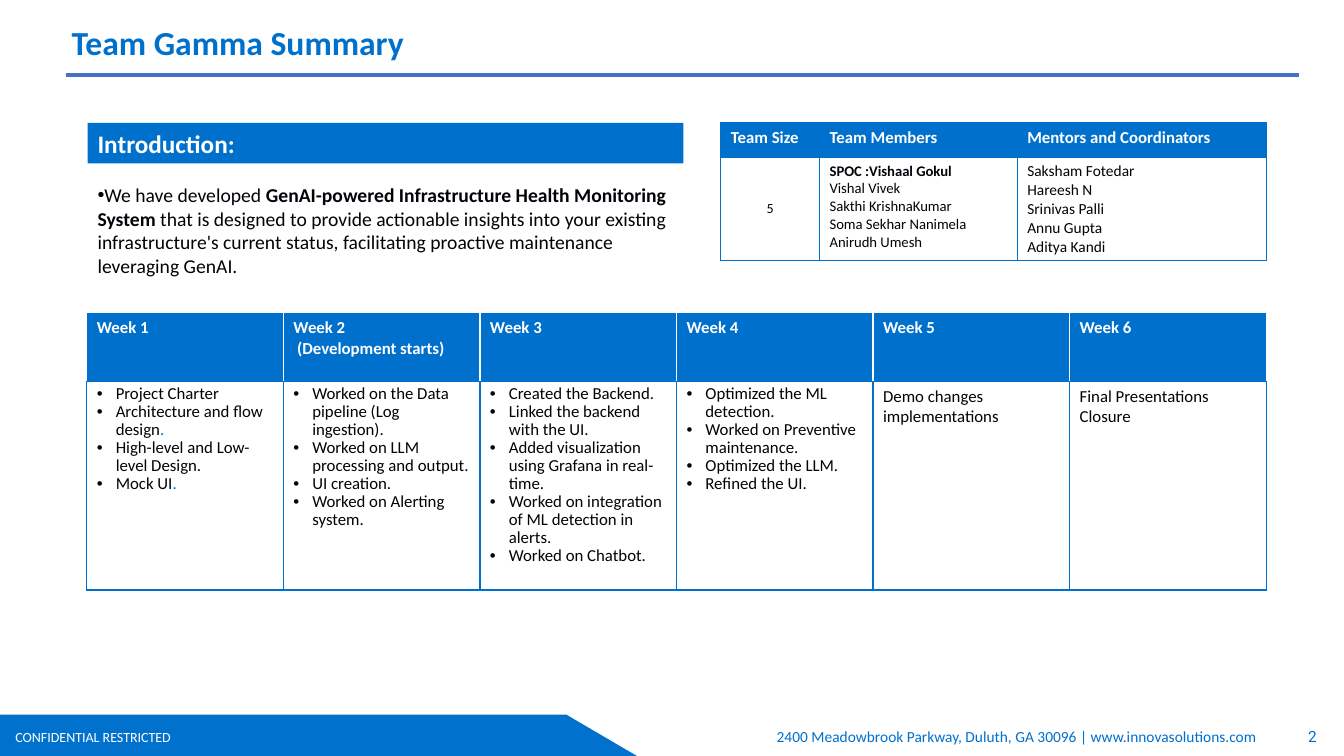
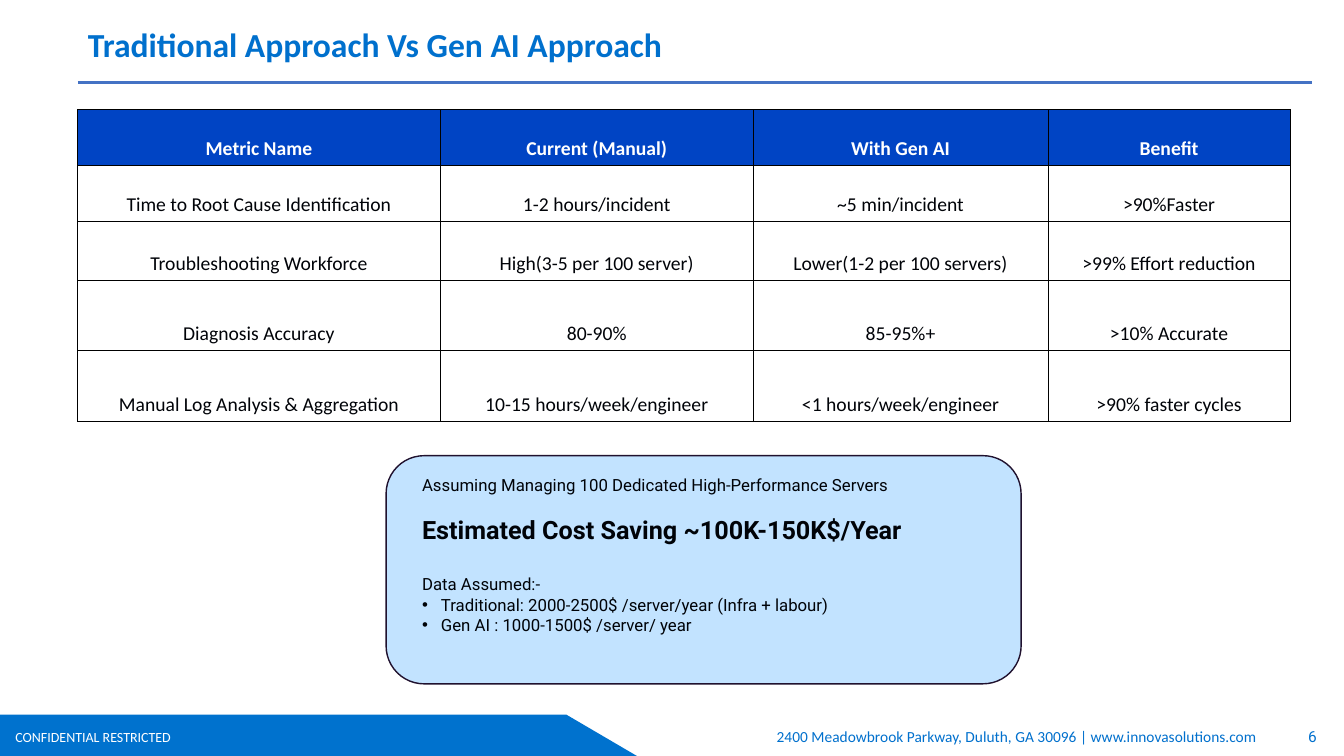
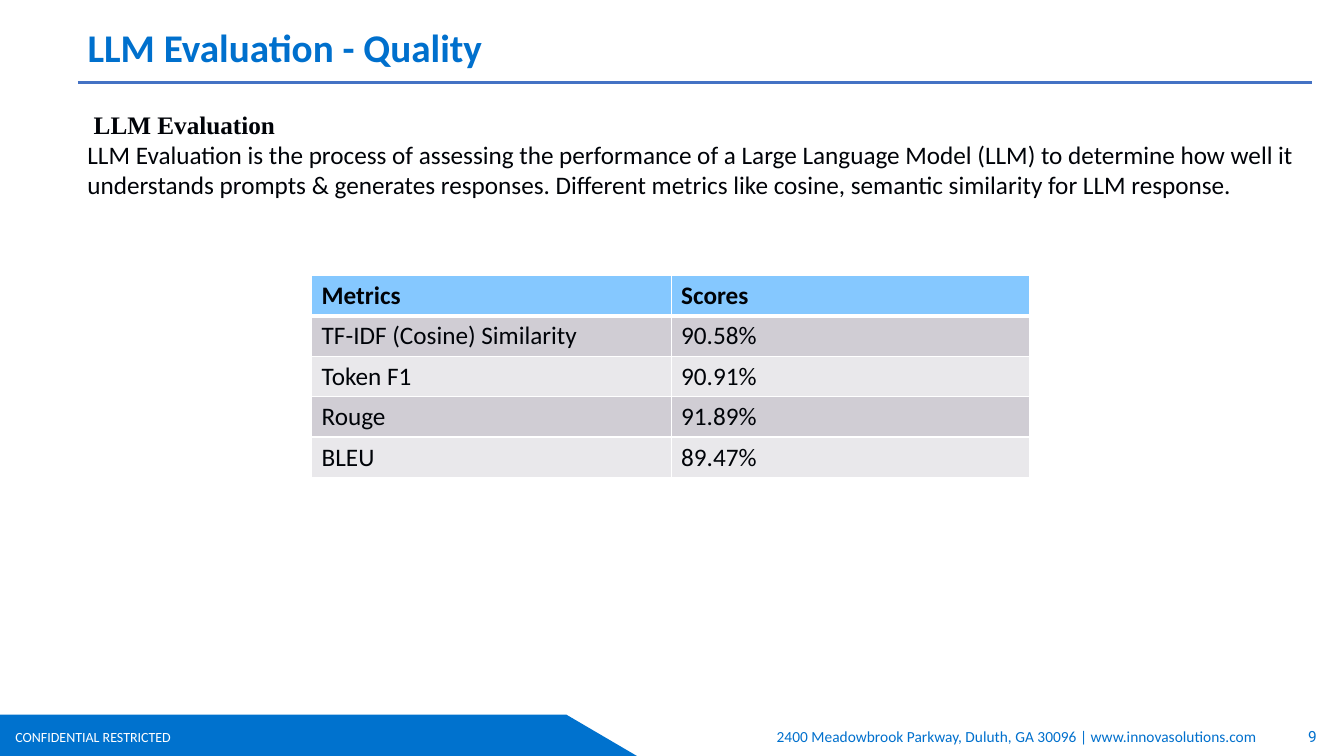
"""Build three slides on a GenAI infrastructure monitoring project."""
from dataclasses import dataclass, replace
from typing import Any, NamedTuple, Optional

from pptx import Presentation
from pptx.dml.color import RGBColor
from pptx.enum.shapes import MSO_CONNECTOR, MSO_SHAPE
from pptx.enum.text import MSO_ANCHOR, MSO_AUTO_SIZE, PP_ALIGN
from pptx.oxml.xmlchemy import OxmlElement
from pptx.util import Pt

BLUE = RGBColor(0x00, 0x70, 0xCD)
BAND_BLUE = RGBColor(0x00, 0x72, 0xCE)
RULE_BLUE = RGBColor(0x44, 0x72, 0xC4)
ROYAL_BLUE = RGBColor(0x00, 0x44, 0xC4)
SKY_BLUE = RGBColor(0x85, 0xC8, 0xFF)
PALE_BLUE = RGBColor(0xC2, 0xE3, 0xFF)
PLUM = RGBColor(0x20, 0x11, 0x2E)
GREY = RGBColor(0xD0, 0xCD, 0xD4)
LIGHT_GREY = RGBColor(0xE9, 0xE8, 0xEB)
INK = RGBColor(0x00, 0x03, 0x08)
BLACK = RGBColor(0x00, 0x00, 0x00)
WHITE = RGBColor(0xFF, 0xFF, 0xFF)

SLIDE_WIDTH, SLIDE_HEIGHT = 960, 540
ADDRESS = "2400 Meadowbrook Parkway, Duluth, GA 30096 | www.innovasolutions.com"


class Box(NamedTuple):
    """Left, top, width and height in points."""
    left: float
    top: float
    width: float
    height: float


class Border(NamedTuple):
    """Colour and width of one cell edge."""
    color: RGBColor
    width: float = 1


@dataclass(frozen=True)
class Style:
    """Character format."""
    size: float
    color: RGBColor = INK
    bold: bool = False
    face: str = "Calibri"


@dataclass(frozen=True)
class Run:
    """Words in one style."""
    words: str
    style: Style


@dataclass(frozen=True)
class Para:
    """Runs with their paragraph format."""
    runs: tuple[Run, ...]
    align: PP_ALIGN = PP_ALIGN.LEFT
    leading: Optional[float] = None
    before: float = 0
    margin: float = 0
    hanging: float = 0
    bullet: bool = False


@dataclass(frozen=True)
class Cell:
    """Content and look of a table cell."""
    paras: list[Para]
    borders: dict[str, Border]
    fill: Optional[RGBColor] = None
    anchor: MSO_ANCHOR = MSO_ANCHOR.TOP
    insets: tuple[float, float, float, float] = (7.2, 3.6, 7.2, 3.6)


def apply(target: Any, formats: dict[str, Any]) -> None:
    """Set each format value on the target."""
    for name, value in formats.items():
        setattr(target, name, value)


def edges(border: Border, **special: Border) -> dict[str, Border]:
    """Give all four edges one border, except the special ones."""
    return {side: special.get(side, border) for side in "LRTB"}


def para(words: str, style: Style, **formats: Any) -> Para:
    """Make a paragraph of one run."""
    return Para((Run(words, style),), **formats)


def lines(style: Style, *texts: str) -> list[Para]:
    """Make one plain paragraph per text."""
    return [para(text, style) for text in texts]


def bullets(style: Style, *texts: str, leading: Optional[float] = None) -> list[Para]:
    """Make one hanging bullet per text."""
    return [para(text, style, bullet=True, margin=13.5, hanging=13.5, leading=leading)
            for text in texts]


def write(frame: Any, paras: list[Para]) -> None:
    """Fill a text frame with formatted paragraphs."""
    for index, source in enumerate(paras):
        paragraph = frame.paragraphs[0] if index == 0 else frame.add_paragraph()
        apply(paragraph, {"alignment": source.align, "space_before": Pt(source.before)})
        if source.leading:
            paragraph.line_spacing = Pt(source.leading)
        properties = paragraph._p.get_or_add_pPr()
        properties.set("marL", str(Pt(source.margin)))
        properties.set("indent", str(-Pt(source.hanging)))
        if source.bullet:
            for tag, key, value in (("a:buFont", "typeface", "Arial"), ("a:buChar", "char", "•")):
                mark = OxmlElement(tag)
                mark.set(key, value)
                properties.append(mark)
        for piece in source.runs:
            run = paragraph.add_run()
            run.text = piece.words
            apply(run.font, {"size": Pt(piece.style.size), "bold": piece.style.bold,
                             "name": piece.style.face})
            run.font.color.rgb = piece.style.color


def add_text(slide: Any, box: Box, paras: list[Para],
             anchor: MSO_ANCHOR = MSO_ANCHOR.TOP) -> None:
    """Add a wrapping text box."""
    frame = slide.shapes.add_textbox(*map(Pt, box)).text_frame
    apply(frame, {"word_wrap": True, "vertical_anchor": anchor})
    write(frame, paras)


def add_panel(slide: Any, preset: MSO_SHAPE, box: Box, fill: RGBColor,
              outline: Optional[RGBColor] = None) -> Any:
    """Add a flat filled shape."""
    panel = slide.shapes.add_shape(preset, *map(Pt, box))
    panel.shadow.inherit = False
    panel.fill.solid()
    panel.fill.fore_color.rgb = fill
    if outline is None:
        panel.line.fill.background()
    else:
        panel.line.color.rgb = outline
        panel.line.width = Pt(1)
    return panel


def set_borders(cell: Any, borders: dict[str, Border]) -> None:
    """Draw the edges of a cell."""
    properties = cell._tc.get_or_add_tcPr()
    for index, (side, border) in enumerate(borders.items()):
        edge = OxmlElement(f"a:ln{side}")
        edge.set("w", str(Pt(border.width)))
        paint = OxmlElement("a:solidFill")
        color = OxmlElement("a:srgbClr")
        color.set("val", str(border.color))
        paint.append(color)
        edge.append(paint)
        properties.insert(index, edge)


def add_grid(slide: Any, left: float, top: float, widths: list[float],
             heights: list[float], rows: list[list[Cell]]) -> None:
    """Add a table of formatted cells."""
    box = Box(left, top, sum(widths), sum(heights))
    table = slide.shapes.add_table(len(heights), len(widths), *map(Pt, box)).table
    apply(table, {"first_row": False, "horz_banding": False})
    for column, width in zip(table.columns, widths):
        column.width = Pt(width)
    for row, height in zip(table.rows, heights):
        row.height = Pt(height)
    sides = ("margin_left", "margin_top", "margin_right", "margin_bottom")
    for row, sources in zip(table.rows, rows):
        for cell, source in zip(row.cells, sources):
            apply(cell, {"vertical_anchor": source.anchor,
                         **dict(zip(sides, map(Pt, source.insets)))})
            if source.fill is None:
                cell.fill.background()
            else:
                cell.fill.solid()
                cell.fill.fore_color.rgb = source.fill
            set_borders(cell, source.borders)
            write(cell.text_frame, source.paras)


def add_footer(slide: Any, number: int) -> None:
    """Add the band, notice, address and page number."""
    builder = slide.shapes.build_freeform(Pt(0), Pt(510.5), scale=1.0)
    corners = ((404.6, 510.5), (455, SLIDE_HEIGHT), (0, SLIDE_HEIGHT))
    builder.add_line_segments([(Pt(x), Pt(y)) for x, y in corners], close=True)
    band = builder.convert_to_shape()
    band.shadow.inherit = False
    band.fill.solid()
    band.fill.fore_color.rgb = BAND_BLUE
    band.line.fill.background()
    add_text(slide, Box(520, 515.5, 385, 21),
             [para(ADDRESS, Style(11, BLUE), align=PP_ALIGN.RIGHT)])
    add_text(slide, Box(0.5, 517, 132, 19.5),
             [para("CONFIDENTIAL RESTRICTED", Style(10, WHITE), align=PP_ALIGN.CENTER)])
    add_text(slide, Box(916, 511, 43, 29.5),
             [para(str(number), Style(11, BLUE, face="Roboto"), align=PP_ALIGN.CENTER)],
             MSO_ANCHOR.MIDDLE)


def start_slide(deck: Any, heading: str, number: int, title_box: Box,
                size: float, rule_left: float, rule_top: float) -> Any:
    """Add a slide with its footer, title and rule."""
    slide = deck.slides.add_slide(deck.slide_layouts[5])
    add_footer(slide, number)
    title = slide.shapes.title
    apply(title, dict(zip(("left", "top", "width", "height"), map(Pt, title_box))))
    apply(title.text_frame, {"word_wrap": True, "vertical_anchor": MSO_ANCHOR.TOP,
                             "auto_size": MSO_AUTO_SIZE.NONE})
    write(title.text_frame, [para(heading, Style(size, BLUE, True))])
    rule = slide.shapes.add_connector(MSO_CONNECTOR.STRAIGHT, Pt(rule_left), Pt(rule_top),
                                      Pt(rule_left + 881.3), Pt(rule_top))
    rule.line.color.rgb = RULE_BLUE
    rule.line.width = Pt(2.25)
    rule._element.spPr.append(OxmlElement("a:effectLst"))
    return slide


def build_summary(deck: Any) -> None:
    """Build the team summary slide."""
    slide = start_slide(deck, "Team Gamma Summary", 2, Box(44, 12.2, 533.5, 36), 24, 46.8, 53.6)
    banner = add_panel(slide, MSO_SHAPE.RECTANGLE, Box(62.6, 87.8, 425.5, 29), BLUE)
    banner.text_frame.vertical_anchor = MSO_ANCHOR.MIDDLE
    write(banner.text_frame, [para("Introduction:", Style(18, WHITE, True))])

    blue_edges = edges(Border(BLUE))
    header = Style(12, WHITE, True)
    member = Style(10.5)
    members = [para("SPOC :Vishaal Gokul", replace(member, bold=True)),
               *lines(member, "Vishal Vivek", "Sakthi KrishnaKumar",
                      "Soma Sekhar Nanimela", "Anirudh Umesh")]
    mentors = lines(Style(11), "Saksham Fotedar", "Hareesh N", "Srinivas Palli",
                    "Annu Gupta", "Aditya Kandi")
    team_size = [para("5", Style(10), align=PP_ALIGN.CENTER)]
    add_grid(slide, 514.8, 87.8, [70.6, 141.2, 177.8], [24.4, 74.2], [
        [Cell(lines(header, label), blue_edges, BLUE)
         for label in ("Team Size", "Team Members", "Mentors and Coordinators")],
        [Cell(team_size, blue_edges, anchor=MSO_ANCHOR.MIDDLE),
         Cell(members, blue_edges), Cell(mentors, blue_edges)]])

    intro = Style(14)
    add_text(slide, Box(62.6, 127.4, 425.5, 75), [Para((
        Run("We have developed ", intro),
        Run("GenAI-powered Infrastructure Health Monitoring System", replace(intro, bold=True)),
        Run(" that is designed to provide actionable insights into your existing "
            "infrastructure's current status, facilitating proactive maintenance "
            "leveraging GenAI.", intro)), bullet=True)])

    task = Style(12)
    blue_stop = Run(".", replace(task, color=BLUE))
    charter, architecture, levels, mock = bullets(
        task, "Project Charter", "Architecture and flow design",
        "High-level and Low-level Design.", "Mock UI", leading=12.8)
    design_tasks = [charter, replace(architecture, runs=(*architecture.runs, blue_stop)),
                    levels, replace(mock, runs=(*mock.runs, blue_stop))]
    weekly_tasks = [
        design_tasks,
        bullets(task, "Worked on the Data pipeline (Log ingestion).",
                "Worked on LLM processing and output.", "UI creation.",
                "Worked on Alerting system.", leading=12.8),
        bullets(task, "Created the Backend.", "Linked the backend with the UI.",
                "Added visualization using Grafana in real-time.",
                "Worked on integration of ML detection in alerts.",
                "Worked on Chatbot.", leading=12.8),
        bullets(task, "Optimized the ML detection.", "Worked on Preventive maintenance.",
                "Optimized the LLM.", "Refined the UI.", leading=12.8),
        lines(task, "Demo changes implementations"),
        lines(task, "Final Presentations", "Closure")]
    week_labels = [lines(header, f"Week {week}") for week in range(1, 7)]
    week_labels[1].append(para("(Development starts)", header, margin=2.7))
    header_edges = edges(Border(WHITE), B=Border(BLUE))
    add_grid(slide, 62, 223.4, [140.4] * 6, [49, 149], [
        [Cell(label, header_edges, BLUE) for label in week_labels],
        [Cell(tasks, blue_edges, WHITE) for tasks in weekly_tasks]])


def build_comparison(deck: Any) -> None:
    """Build the manual versus Gen AI slide."""
    slide = start_slide(deck, "Traditional Approach Vs Gen AI Approach", 6,
                        Box(55.6, 13.6, 533.5, 36), 24, 55.6, 59)
    add_panel(slide, MSO_SHAPE.ROUNDED_RECTANGLE, Box(275.8, 325.5, 453.6, 163), PALE_BLUE, PLUM)
    metrics = [
        ("Metric Name", "Current (Manual)", "With Gen AI", "Benefit"),
        ("Time to Root Cause Identification", "1-2 hours/incident", "~5 min/incident",
         ">90%Faster"),
        ("Troubleshooting Workforce", "High(3-5 per 100 server)", "Lower(1-2 per 100 servers)",
         ">99% Effort reduction"),
        ("Diagnosis Accuracy", "80-90%", "85-95%+", ">10% Accurate"),
        ("Manual Log Analysis & Aggregation", "10-15 hours/week/engineer",
         "<1 hours/week/engineer", ">90% faster cycles")]
    looks = [(Style(14, WHITE, True), ROYAL_BLUE)] + [(Style(14), None)] * 4
    add_grid(slide, 55.4, 78.2, [259.2, 223.4, 210.6, 173], [40, 40, 42, 50.4, 50.4], [
        [Cell([para(words, style, align=PP_ALIGN.CENTER, leading=12.8)],
              edges(Border(BLACK, 0.75)), fill, MSO_ANCHOR.BOTTOM, (0.7, 0.7, 0.7, 3.6))
         for words in row]
        for row, (style, fill) in zip(metrics, looks)])
    note = Style(12, face="Roboto")
    add_text(slide, Box(294.4, 335.6, 443, 152), [
        para("Assuming Managing 100 Dedicated High-Performance Servers", note),
        para("Estimated Cost Saving ~100K-150K$/Year", replace(note, size=18, bold=True),
             before=14),
        para("Data Assumed:-", note, before=21),
        *bullets(note, "Traditional: 2000-2500$ /server/year (Infra + labour)",
                 "Gen AI : 1000-1500$ /server/ year")])


def build_evaluation(deck: Any) -> None:
    """Build the LLM quality slide."""
    slide = start_slide(deck, "LLM Evaluation - Quality", 9,
                        Box(55.4, 13, 533.5, 41), 28, 55.6, 59)
    scores = [("Metrics", "Scores"), ("TF-IDF (Cosine) Similarity", "90.58%"),
              ("Token F1", "90.91%"), ("Rouge", "91.89%"), ("BLEU", "89.47%")]
    body = Style(18)
    white = Border(WHITE)
    header_look = (replace(body, bold=True), SKY_BLUE, edges(white, B=Border(WHITE, 3)))
    looks = [header_look] + [(body, fill, edges(white)) for fill in (GREY, LIGHT_GREY) * 2]
    add_grid(slide, 222.6, 196.8, [256.8, 256.2], [28.8] * 5, [
        [Cell(lines(style, words), borders, fill) for words in row]
        for row, (style, fill, borders) in zip(scores, looks)])
    add_text(slide, Box(55.4, 74.2, 900, 73), [
        para("LLM Evaluation", Style(18, bold=True, face="Times New Roman"), margin=4.5),
        para("LLM Evaluation is the process of assessing the performance of a Large Language "
             "Model (LLM) to determine how well it understands prompts & generates responses. "
             "Different metrics like cosine, semantic similarity for LLM response.", body)])


def main() -> None:
    """Build and save the deck."""
    deck = Presentation()
    apply(deck, {"slide_width": Pt(SLIDE_WIDTH), "slide_height": Pt(SLIDE_HEIGHT)})
    for build in (build_summary, build_comparison, build_evaluation):
        build(deck)
    deck.save("out.pptx")


if __name__ == "__main__":
    main()
